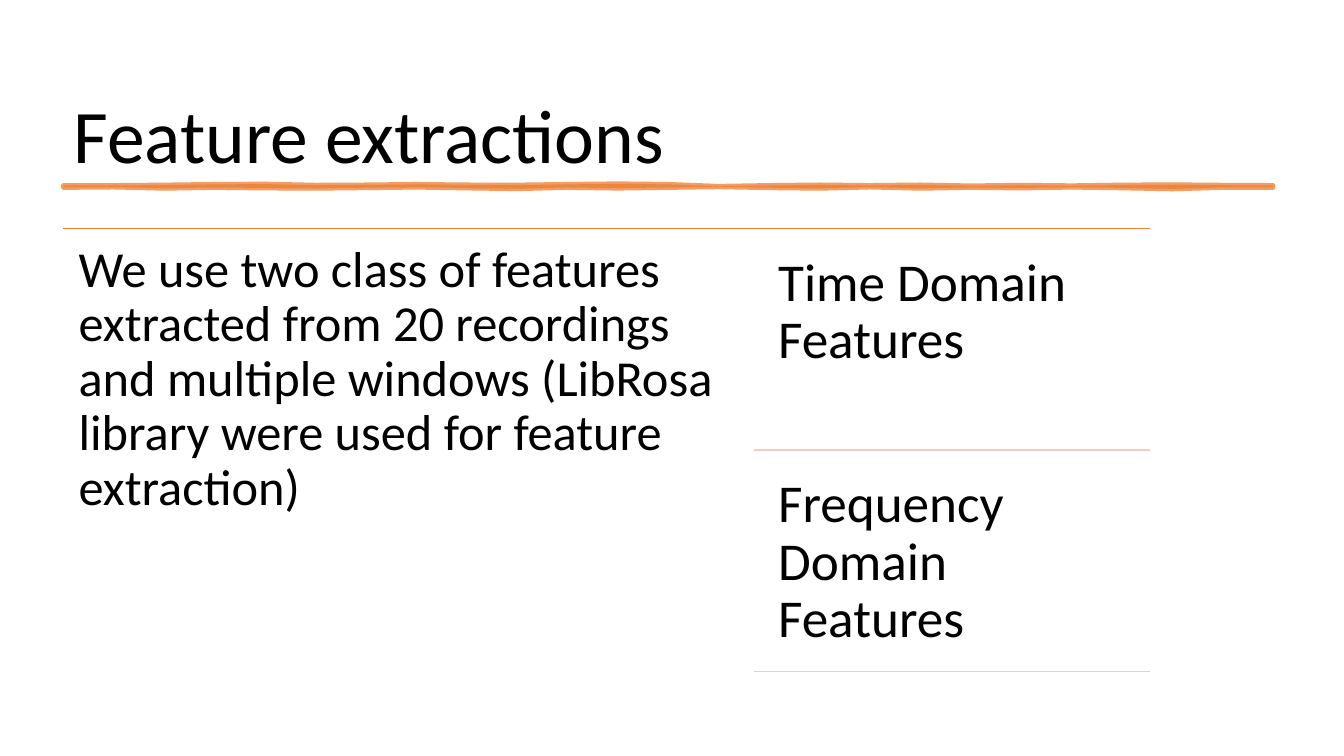
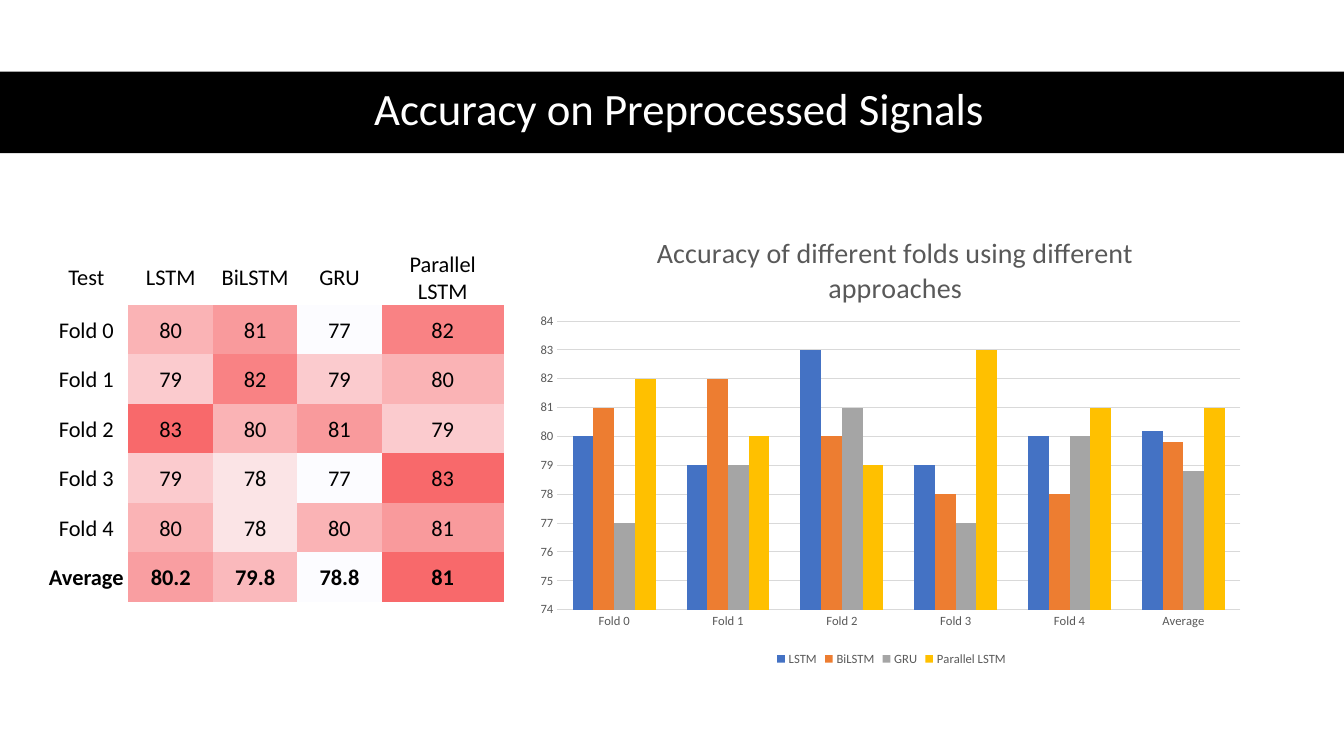
from dataclasses import dataclass

from lxml.etree import SubElement
from pptx import Presentation
from pptx.chart.data import CategoryChartData
from pptx.dml.color import RGBColor
from pptx.enum.chart import XL_CHART_TYPE, XL_LEGEND_POSITION, XL_TICK_MARK
from pptx.enum.shapes import MSO_CONNECTOR, MSO_SHAPE
from pptx.enum.text import MSO_ANCHOR, PP_ALIGN
from pptx.oxml import parse_xml
from pptx.oxml.ns import nsdecls, qn
from pptx.util import Pt


@dataclass(frozen=True)
class Theme:
    font: str = "Calibri"
    black: str = "000000"
    white: str = "FFFFFF"
    orange: str = "ED7D31"
    blush: str = "F6CCBE"
    chart_text: str = "595959"
    grid: str = "D9D9D9"
    heat_low: str = "FCFCFF"
    heat_high: str = "F8696B"
    series: tuple = ("4472C4", "ED7D31", "A5A5A5", "FFC000")
    title_size: float = 54
    band_title_size: float = 32
    body_size: float = 36
    feature_size: float = 38
    table_size: float = 16
    chart_title_size: float = 20
    chart_size: float = 9


THEME = Theme()
SLIDE_WIDTH, SLIDE_HEIGHT = 960, 540
LEFT = 45.36
NO_TABLE_STYLE = "{2D5ABB26-0587-4C30-8999-92F81FD0307C}"

MODELS = ("LSTM", "BiLSTM", "GRU", "Parallel LSTM")
ACCURACY = {
    "Fold 0": (80, 81, 77, 82),
    "Fold 1": (79, 82, 79, 80),
    "Fold 2": (83, 80, 81, 79),
    "Fold 3": (79, 78, 77, 83),
    "Fold 4": (80, 78, 80, 81),
    "Average": (80.2, 79.8, 78.8, 81),
}

# Brush stroke: height of each edge above its base line, at equal steps
BRUSH_TOP = (0, 0, 0.3, 0.8, 1, 0.2, 0.4, 0.8, 0.4, 0.3, 0.8, 1.2, 0.8,
             -0.6, 0, 0.4, 0, 0.4, -0.3, 0.2, -0.2, 0.3, 0.5, 0.2, 0)
BRUSH_BOTTOM = (0, 0.3, -0.6, 0, -0.4, -0.6, -0.2, 0.2, -0.4, -0.9, 0, -0.5,
                0, 0.5, -0.2, -0.6, 0.3, -0.6, 0, -0.4, 0.2, -0.3, -1, 0, 0)


def style_font(font, size, color, bold=False):
    font.name = THEME.font
    font.size = Pt(size)
    font.bold = bold
    font.color.rgb = RGBColor.from_string(color)


def set_fill(fill, color):
    fill.solid()
    fill.fore_color.rgb = RGBColor.from_string(color)


def set_line(line, color, width):
    line.width = Pt(width)
    line.color.rgb = RGBColor.from_string(color)


def add_text(slide, text, box, size, color=THEME.black, inset=None,
             anchor=MSO_ANCHOR.TOP, align=PP_ALIGN.LEFT):
    shape = slide.shapes.add_textbox(*map(Pt, box))
    frame = shape.text_frame
    frame.word_wrap = True
    frame.vertical_anchor = anchor
    if inset is not None:
        frame.margin_left = frame.margin_right = Pt(inset)
        frame.margin_top = frame.margin_bottom = Pt(inset)
    paragraph = frame.paragraphs[0]
    paragraph.text = text
    paragraph.alignment = align
    paragraph.line_spacing = 0.9
    style_font(paragraph.font, size, color)


def add_rule(slide, left, right, y, color):
    line = slide.shapes.add_connector(
        MSO_CONNECTOR.STRAIGHT, Pt(left), Pt(y), Pt(right), Pt(y))
    set_line(line.line, color, 1)
    SubElement(line._element.spPr, qn("a:effectLst"))


def add_brush_stroke(slide, left, y, width, thickness):
    step = width / (len(BRUSH_TOP) - 1)
    top = [(Pt(left + i * step), Pt(y - rise))
           for i, rise in enumerate(BRUSH_TOP)]
    bottom = [(Pt(left + i * step), Pt(y + thickness - rise))
              for i, rise in enumerate(BRUSH_BOTTOM)]
    builder = slide.shapes.build_freeform(*top[0])
    builder.add_line_segments(top[1:] + bottom[::-1], close=True)
    shape = builder.convert_to_shape()
    shape.shadow.inherit = False
    set_fill(shape.fill, THEME.orange)
    set_line(shape.line, THEME.orange, 3.5)
    for color in shape._element.spPr.iter(qn("a:srgbClr")):
        SubElement(color, qn("a:alpha"), val="75000")


def heat_color(value, values):
    """Blend from the low to the high colour over the range of values."""
    share = (value - min(values)) / (max(values) - min(values))
    low = RGBColor.from_string(THEME.heat_low)
    high = RGBColor.from_string(THEME.heat_high)
    return str(RGBColor(*(int(a + (b - a) * share + 0.5)
                          for a, b in zip(low, high))))


def fill_cell(cell, text, bold=False, color=None):
    cell.margin_left = cell.margin_right = cell.margin_top = Pt(1.44)
    cell.margin_bottom = 0
    cell.vertical_anchor = MSO_ANCHOR.MIDDLE
    paragraph = cell.text_frame.paragraphs[0]
    paragraph.text = text
    paragraph.alignment = PP_ALIGN.CENTER
    style_font(paragraph.font, THEME.table_size, THEME.black, bold)
    if color:
        set_fill(cell.fill, color)
    else:
        cell.fill.background()


def add_accuracy_table(slide, left, top, column_widths, row_height):
    rows = len(ACCURACY) + 1
    table = slide.shapes.add_table(
        rows, len(column_widths), Pt(left), Pt(top),
        Pt(sum(column_widths)), Pt(rows * row_height)).table
    table.first_row = table.horz_banding = False
    table._tbl.tblPr.find(qn("a:tableStyleId")).text = NO_TABLE_STYLE
    for column, width in zip(table.columns, column_widths):
        column.width = Pt(width)
    for row in table.rows:
        row.height = Pt(row_height)

    for column, text in enumerate(("Test",) + MODELS):
        fill_cell(table.cell(0, column), text)
    fold_values = [value for name, values in ACCURACY.items()
                   if name != "Average" for value in values]
    for row, (name, values) in enumerate(ACCURACY.items(), start=1):
        is_average = name == "Average"
        scale = values if is_average else fold_values
        fill_cell(table.cell(row, 0), name, is_average)
        for column, value in enumerate(values, start=1):
            fill_cell(table.cell(row, column), str(value), is_average,
                      heat_color(value, scale))


def place_chart_part(element, **fractions):
    """Fix the place of a chart part, in fractions of the chart."""
    layout = element.find(qn("c:layout"))
    if layout is None:
        layout = parse_xml(f"<c:layout {nsdecls('c')}/>")
        element.insert(0, layout)
    manual = SubElement(layout, qn("c:manualLayout"))
    if "w" in fractions:
        SubElement(manual, qn("c:layoutTarget"), val="inner")
    for axis in "xy":
        SubElement(manual, qn(f"c:{axis}Mode"), val="edge")
    for name, value in fractions.items():
        SubElement(manual, qn(f"c:{name}"), val=str(value))


def add_accuracy_chart(slide, box):
    data = CategoryChartData()
    data.categories = list(ACCURACY)
    for name, values in zip(MODELS, zip(*ACCURACY.values())):
        data.add_series(name, values)
    chart = slide.shapes.add_chart(
        XL_CHART_TYPE.COLUMN_CLUSTERED, *map(Pt, box), data).chart
    style_font(chart.font, THEME.chart_size, THEME.chart_text)

    # Title and legend
    chart.has_title = True
    paragraph = chart.chart_title.text_frame.paragraphs[0]
    paragraph.text = "Accuracy of different folds using different approaches"
    style_font(paragraph.font, THEME.chart_title_size, THEME.chart_text)
    place_chart_part(chart.chart_title._element, x=0.17, y=0.05)
    chart.has_legend = True
    chart.legend.position = XL_LEGEND_POSITION.BOTTOM
    chart.legend.include_in_layout = False
    style_font(chart.legend.font, THEME.chart_size, THEME.chart_text)

    # Columns
    plot = chart.plots[0]
    plot.gap_width = 150
    plot.overlap = 0
    plot.vary_by_categories = False
    for series, color in zip(plot.series, THEME.series):
        set_fill(series.format.fill, color)
    place_chart_part(chart._chartSpace.chart.plotArea,
                     x=0.04, y=0.25, w=0.94, h=0.62)

    # Axes
    for axis in (chart.category_axis, chart.value_axis):
        axis.major_tick_mark = axis.minor_tick_mark = XL_TICK_MARK.NONE
        style_font(axis.tick_labels.font, THEME.chart_size, THEME.chart_text)
    set_line(chart.category_axis.format.line, THEME.grid, 0.75)
    value_axis = chart.value_axis
    value_axis.minimum_scale, value_axis.maximum_scale = 74, 84
    value_axis.major_unit = 1
    value_axis.format.line.fill.background()
    set_line(value_axis.major_gridlines.format.line, THEME.grid, 0.75)


def add_blank_slide(presentation):
    return presentation.slides.add_slide(presentation.slide_layouts[6])


def build_features_slide(presentation):
    slide = add_blank_slide(presentation)
    add_text(slide, "Feature extractions", (LEFT, 18.72, 867.6, 113),
             THEME.title_size, anchor=MSO_ANCHOR.BOTTOM)
    add_brush_stroke(slide, LEFT, 132.5, 864, 1.4)

    # Statement on the left
    list_top, list_right = 163.4, 821.2
    add_rule(slide, LEFT, list_right, list_top, THEME.orange)
    add_text(slide, "We use two class of features extracted from 20 "
             "recordings and multiple windows (LibRosa library were used "
             "for feature extraction)",
             (LEFT, list_top, 493.9, 324), THEME.body_size, inset=10.8)

    # Feature classes on the right, each closed by a rule
    gap, height = 7.5, 150.6
    for index, text in enumerate(("Time Domain Features",
                                  "Frequency Domain Features")):
        top = list_top + gap + index * (height + gap)
        add_text(slide, text, (544.3, top, 276.5, height),
                 THEME.feature_size, inset=11.5)
        add_rule(slide, 538.6, list_right, top + height, THEME.blush)


def build_accuracy_slide(presentation):
    slide = add_blank_slide(presentation)

    # Title band
    band = slide.shapes.add_shape(
        MSO_SHAPE.RECTANGLE, 0, Pt(51.1), Pt(SLIDE_WIDTH), Pt(58.3))
    band.shadow.inherit = False
    set_fill(band.fill, THEME.black)
    band.line.fill.background()
    add_text(slide, "Accuracy on Preprocessed Signals",
             (43.9, 50.4, 882.7, 58.3), THEME.band_title_size, THEME.white,
             anchor=MSO_ANCHOR.MIDDLE, align=PP_ALIGN.CENTER)

    # Results
    add_accuracy_table(slide, 31.5, 177.8, [60.3] * 4 + [87.1], 35.35)
    add_accuracy_chart(slide, (377.3, 146.2, 519.1, 332.6))


def main():
    presentation = Presentation()
    presentation.slide_width = Pt(SLIDE_WIDTH)
    presentation.slide_height = Pt(SLIDE_HEIGHT)
    build_features_slide(presentation)
    build_accuracy_slide(presentation)
    presentation.save("out.pptx")


if __name__ == "__main__":
    main()
